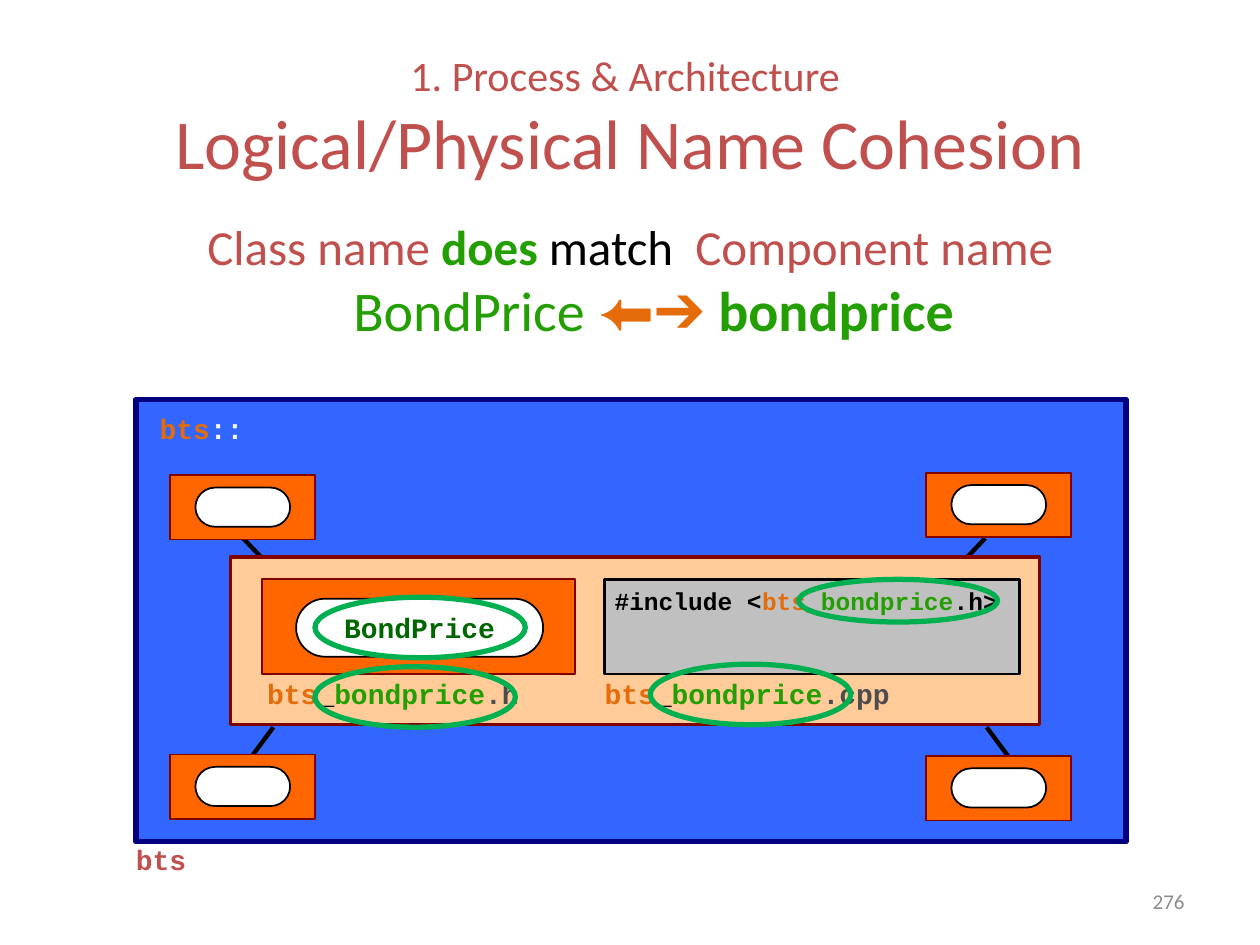
from dataclasses import dataclass

from lxml import etree
from pptx import Presentation
from pptx import util as u
from pptx.dml import color
from pptx.enum import shapes, text
from pptx.oxml import ns


@dataclass(frozen=True)
class Theme:
    """Fonts, colours and type sizes of the slide."""
    body: str = "Calibri"
    code: str = "Courier New"
    red: str = "C0504D"
    green: str = "249F03"
    class_green: str = "006600"
    ring: str = "00B050"
    accent: str = "E46C0A"
    orange: str = "FF6600"
    peach: str = "FFCC99"
    blue: str = "3366FF"
    navy: str = "000080"
    maroon: str = "800000"
    silver: str = "C0C0C0"
    suffix: str = "4D4D4D"
    page: str = "8C8C8C"
    black: str = "000000"
    white: str = "FFFFFF"
    title_size: int = 40
    name_size: int = 32
    statement_size: int = 28
    section_size: int = 24
    code_size: int = 16
    include_size: int = 14
    page_size: int = 12


T = Theme()
RECT = shapes.MSO_SHAPE.RECTANGLE
ROUND = shapes.MSO_SHAPE.ROUNDED_RECTANGLE
OVAL = shapes.MSO_SHAPE.OVAL
LEFT, CENTER, RIGHT = text.PP_ALIGN.LEFT, text.PP_ALIGN.CENTER, text.PP_ALIGN.RIGHT
TOP, MIDDLE = text.MSO_ANCHOR.TOP, text.MSO_ANCHOR.MIDDLE


def rgb(value):
    """Return a colour from its hex code."""
    return color.RGBColor.from_string(value)


def write(frame, lines, font, align=LEFT, anchor=TOP, wrap=False):
    """Fill a frame with one paragraph of lines made of (text, size, colour, bold) runs."""
    frame.word_wrap = wrap
    frame.vertical_anchor = anchor
    paragraph = frame.paragraphs[0]
    paragraph.alignment = align
    for index, line in enumerate(lines):
        if index:
            paragraph.add_line_break()
        for words, size, ink, bold in line:
            run = paragraph.add_run()
            run.text = words
            run.font.name = font
            run.font.size = u.Pt(size)
            run.font.bold = bold
            run.font.color.rgb = rgb(ink)
    return paragraph


def add_text(slide, box, lines, font=T.body, **layout):
    """Add a text box and return its paragraph."""
    label = slide.shapes.add_textbox(*map(u.Cm, box))
    return write(label.text_frame, lines, font, **layout)


def add_code(slide, box, pieces, size=T.code_size):
    """Add one line of bold code from (text, colour) pieces."""
    add_text(slide, box, [[(words, size, ink, True) for words, ink in pieces]], T.code)


def add_box(slide, kind, box, fill, line, weight):
    """Add a preset shape, unfilled when fill is None."""
    shape = slide.shapes.add_shape(kind, *map(u.Cm, box))
    shape.shadow.inherit = False
    if fill:
        shape.fill.solid()
        shape.fill.fore_color.rgb = rgb(fill)
    else:
        shape.fill.background()
    shape.line.color.rgb = rgb(line)
    shape.line.width = u.Pt(weight)
    if kind == ROUND:
        shape.adjustments[0] = 0.5
    return shape


def add_link(slide, ends):
    """Add a plain black line between two points."""
    link = slide.shapes.add_connector(shapes.MSO_CONNECTOR.STRAIGHT, *map(u.Cm, ends))
    link.line.color.rgb = rgb(T.black)
    link.line.width = u.Pt(2.5)
    etree.SubElement(link._element.spPr, ns.qn("a:effectLst"))


def add_small_component(slide, left, top):
    """Add a component box holding an unnamed class."""
    add_box(slide, RECT, (left, top, 2.92, 1.3), T.orange, T.maroon, 1)
    add_box(slide, ROUND, (left + 0.51, top + 0.25, 1.91, 0.79), T.white, T.black, 1)


def add_headings(slide):
    """Add the title, the naming rule and the page number."""
    add_text(slide, (1.27, 0.76, 22.86, 3.18), [
        [("1. Process & Architecture ", T.section_size, T.red, False)],
        [("Logical/Physical Name Cohesion", T.title_size, T.red, False)],
    ], align=CENTER, anchor=MIDDLE)
    rule = add_text(slide, (1.91, 4.24, 21.59, 3.61), [
        [("Class name ", T.statement_size, T.red, False),
         ("does", T.statement_size, T.green, True),
         (" match  ", T.statement_size, T.black, False),
         ("Component name", T.statement_size, T.red, False)],
        [("BondPrice ", T.name_size, T.green, False),
         ("⬅➔ ", T.name_size, T.accent, False),
         ("bondprice", T.name_size, T.green, True)],
    ], align=CENTER, wrap=True)
    hanging = u.Cm(0.95)
    properties = rule._p.get_or_add_pPr()
    properties.set("marL", str(hanging))
    properties.set("indent", str(-hanging))
    add_text(slide, (18.21, 17.65, 5.92, 1.02), [[("276", T.page_size, T.page, False)]],
             align=RIGHT, anchor=MIDDLE, wrap=True)


def add_package(slide):
    """Add the package with its links and small components."""
    add_box(slide, RECT, (2.74, 8.05, 19.96, 8.92), T.blue, T.navy, 3)
    for ends in ((5.51, 14.66, 5.08, 15.24), (4.9, 10.85, 5.28, 11.25),
                 (19.89, 14.66, 20.32, 15.24), (19.86, 10.85, 19.48, 11.25)):
        add_link(slide, ends)
    for left, top in ((3.43, 9.58), (18.67, 9.53), (18.67, 15.24), (3.43, 15.21)):
        add_small_component(slide, left, top)
    add_code(slide, (2.49, 16.87, 1.52, 0.94), [("bts", T.red)])
    add_code(slide, (2.97, 8.18, 2.21, 0.94), [("bts", T.accent), ("::", T.white)])


def add_bondprice(slide):
    """Add the bondprice component with its header and source file."""
    add_box(slide, RECT, (4.65, 11.23, 16.31, 3.38), T.peach, T.maroon, 2)
    add_box(slide, RECT, (5.28, 11.68, 6.32, 1.91), T.orange, T.maroon, 1)
    bond_class = add_box(slide, ROUND, (5.97, 12.07, 4.98, 1.17), T.white, T.black, 1)
    write(bond_class.text_frame, [[("BondPrice", T.code_size, T.class_green, True)]],
          T.code, align=CENTER, anchor=MIDDLE)
    add_box(slide, RECT, (12.19, 11.68, 8.36, 1.91), T.silver, T.black, 1.5)
    file_stem = [("bts", T.accent), ("_", T.black), ("bondprice", T.green)]
    add_code(slide, (4.8, 13.51, 5.99, 0.94),
             [(" ", T.black), *file_stem, (".h", T.suffix)])
    add_code(slide, (11.94, 13.51, 6.35, 0.94), [*file_stem, (".cpp", T.suffix)])
    add_code(slide, (12.14, 11.68, 8.28, 0.86),
             [("#include <", T.black), ("bts_", T.accent), ("bondprice", T.green),
              (".h>", T.black)], T.include_size)


def add_rings(slide):
    """Ring each place where the shared name occurs."""
    for ring in ((16.1, 11.68, 4.01, 0.86), (6.35, 13.44, 4.04, 1.22),
                 (13.11, 13.39, 4.04, 1.22), (6.35, 12.04, 4.24, 1.22)):
        add_box(slide, OVAL, ring, None, T.ring, 3)


def main():
    """Build and save the slide."""
    deck = Presentation()
    deck.slide_width, deck.slide_height = u.Cm(25.4), u.Cm(19.05)
    slide = deck.slides.add_slide(deck.slide_layouts[6])
    add_headings(slide)
    add_package(slide)
    add_bondprice(slide)
    add_rings(slide)
    deck.save("out.pptx")


if __name__ == "__main__":
    main()
